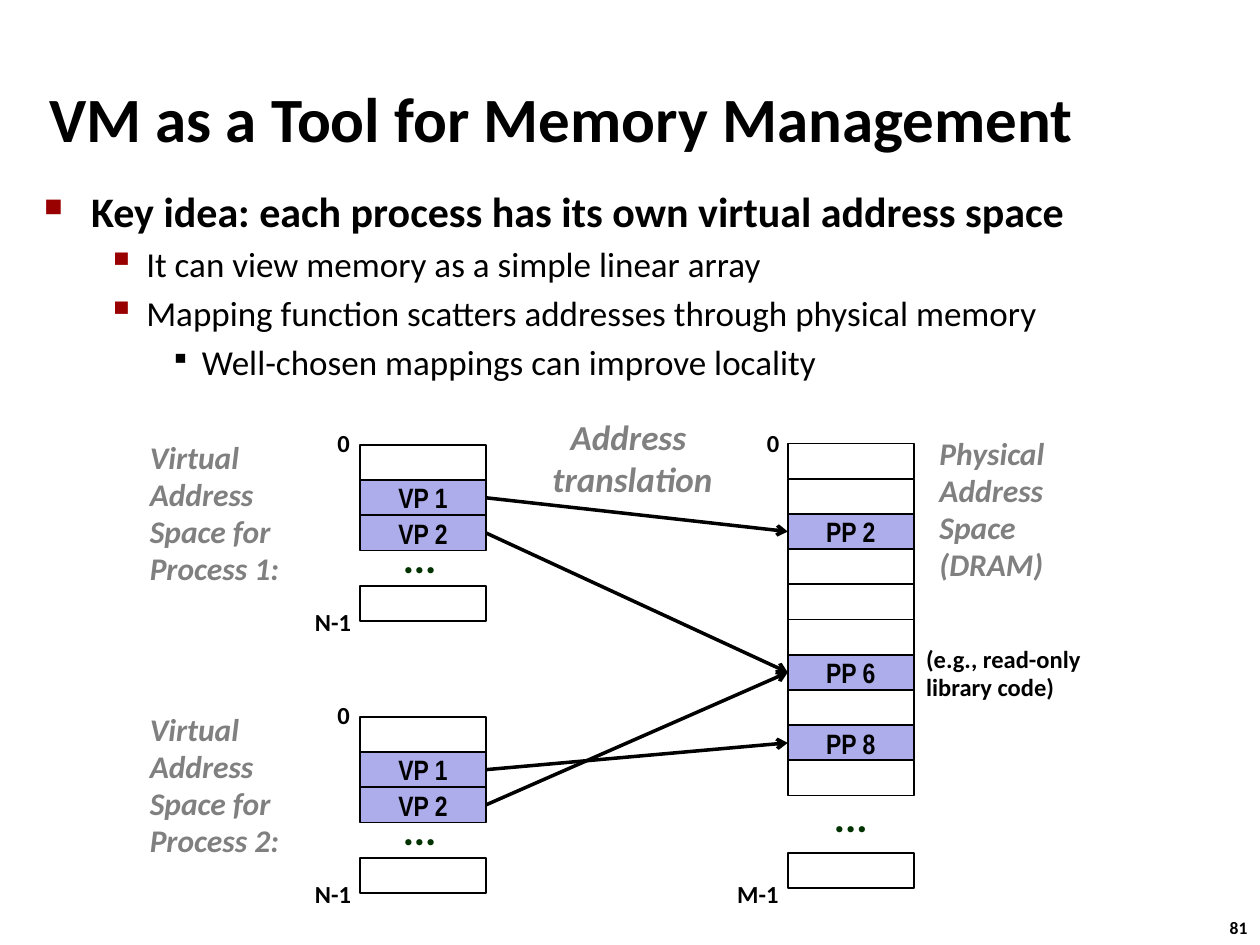
from dataclasses import dataclass
from typing import Optional

from lxml.etree import SubElement
from pptx import Presentation
from pptx.dml.color import RGBColor
from pptx.enum.shapes import MSO_CONNECTOR, MSO_SHAPE
from pptx.enum.text import MSO_ANCHOR, MSO_AUTO_SIZE, PP_ALIGN
from pptx.oxml.ns import qn
from pptx.util import Cm, Pt

BLACK = RGBColor(0x00, 0x00, 0x00)
GRAY = RGBColor(0x80, 0x80, 0x80)
GREEN = RGBColor(0x00, 0x33, 0x00)
RED = RGBColor(0x99, 0x00, 0x00)
BLUE = RGBColor(0xAD, 0xAD, 0xEB)

ROW = 0.71
WIDTH = 2.54
LEFT = 7.26
RIGHT = 15.88
TOP = 8.94
STARTS = (8.97, 14.45)


@dataclass(frozen=True)
class Style:
    size: float
    color: RGBColor = BLACK
    bold: bool = True
    slant: bool = False
    face: str = "Calibri"
    space: Optional[float] = 0.98
    align: PP_ALIGN = PP_ALIGN.LEFT


@dataclass(frozen=True)
class Label:
    x: float
    y: float
    w: float
    h: float
    lines: tuple[str, ...]
    style: Style
    wrap: bool = False


@dataclass(frozen=True)
class Point:
    text: str
    level: int
    style: Style
    indent: float
    hang: float
    mark: str
    scale: int
    color: RGBColor
    before: float


@dataclass(frozen=True)
class Link:
    space: int
    page: int
    frame: int


HEAD = Style(36, space=None)
SIDE = Style(18, GRAY, slant=True)
SMALL = Style(14)
DOTS = Style(24, GREEN, space=0.88)
CELL = Style(16, face="Arial Narrow", space=None, align=PP_ALIGN.CENTER)
MIDDLE = Style(20, GRAY, slant=True, space=None, align=PP_ALIGN.CENTER)
MAIN = Style(24, space=None)
PLAIN = Style(20, bold=False, space=None)
FOOT = Style(10, space=None)

POINTS = (
    Point("Key idea: each process has its own virtual address space",
          0, MAIN, 0.95, 0.95, "■", 60, RED, 0),
    Point("It can view memory as a simple linear array",
          1, PLAIN, 2.06, 0.79, "▪", 110, RED, 4),
    Point("Mapping function scatters addresses through physical memory",
          1, PLAIN, 2.06, 0.79, "▪", 110, RED, 4),
    Point("Well-chosen mappings can improve locality",
          2, PLAIN, 3.18, 0.64, "▪", 80, BLACK, 4),
)

LABELS = (
    Label(18.69, 8.66, 2.97, 3.28, ("Physical", "Address", "Space (DRAM)"), SIDE, True),
    Label(18.42, 12.88, 4.04, 1.42, ("(e.g., read-only", "library code)"), SMALL, True),
    Label(16.56, 15.95, 1.19, 1.14, ("...",), DOTS),
    Label(15.21, 8.53, 0.79, 0.84, ("0",), SMALL),
    Label(14.61, 17.63, 1.35, 0.84, ("M-1",), SMALL),
    Label(10.87, 8.26, 3.76, 1.96, ("Address ", "translation"), MIDDLE),
    Label(24.54, 18.36, 0.94, 0.69, ("81",), FOOT),
)

FRAMES = {2: "PP 2", 6: "PP 6", 8: "PP 8"}
PAGES = {1: "VP 1", 2: "VP 2"}
LINKS = (Link(0, 1, 2), Link(0, 2, 6), Link(1, 2, 6), Link(1, 1, 8))


def dress(para, style: Style) -> None:
    para.alignment = style.align
    if style.space:
        para.line_spacing = style.space
    font = para.font
    font.name = style.face
    font.size = Pt(style.size)
    font.bold = style.bold
    font.italic = style.slant
    font.color.rgb = style.color


def write(shapes, label: Label):
    box = shapes.add_textbox(Cm(label.x), Cm(label.y), Cm(label.w), Cm(label.h))
    frame = box.text_frame
    frame.word_wrap = label.wrap
    frame.auto_size = MSO_AUTO_SIZE.NONE if label.wrap else MSO_AUTO_SIZE.SHAPE_TO_FIT_TEXT
    frame.text = "\n".join(label.lines)
    for para in frame.paragraphs:
        dress(para, label.style)
    return frame


def list_points(shapes) -> None:
    box = shapes.add_textbox(Cm(0.64), Cm(3.61), Cm(21.82), Cm(3.51))
    frame = box.text_frame
    frame.word_wrap = True
    frame.text = "\n".join(point.text for point in POINTS)
    for para, point in zip(frame.paragraphs, POINTS):
        para.level = point.level
        props = para._p.get_or_add_pPr()
        props.set("marL", str(Cm(point.indent)))
        props.set("indent", str(-Cm(point.hang)))
        tint = SubElement(props, qn("a:buClr"))
        SubElement(tint, qn("a:srgbClr"), val=str(point.color))
        SubElement(props, qn("a:buSzPct"), val=str(point.scale * 1000))
        SubElement(props, qn("a:buChar"), char=point.mark)
        if point.before:
            para.space_before = Pt(point.before)
        dress(para, point.style)


def draw_cell(shapes, x: float, y: float, text: str = "") -> None:
    cell = shapes.add_shape(MSO_SHAPE.RECTANGLE, Cm(x), Cm(y), Cm(WIDTH), Cm(ROW))
    cell.shadow.inherit = False
    cell.line.color.rgb = BLACK
    cell.line.width = Pt(1)
    if not text:
        cell.fill.background()
        return
    cell.fill.solid()
    cell.fill.fore_color.rgb = BLUE
    frame = cell.text_frame
    frame.vertical_anchor = MSO_ANCHOR.MIDDLE
    frame.text = text
    dress(frame.paragraphs[0], CELL)


def draw_space(shapes, index: int, top: float) -> None:
    name = f"Virtual Address Space for Process {index}:"
    write(shapes, Label(2.77, top - 0.22, 3.81, 3.25, (name,), SIDE, True))
    write(shapes, Label(6.55, top - 0.44, 0.79, 0.84, ("0",), SMALL))
    write(shapes, Label(6.1, top + 3.18, 1.24, 0.84, ("N-1",), SMALL))
    write(shapes, Label(7.87, top + 1.76, 1.19, 1.14, ("...",), DOTS))
    for row in (0, 1, 2, 4):
        draw_cell(shapes, LEFT, top + row * ROW, PAGES.get(row, ""))


def draw_link(shapes, link: Link) -> None:
    start = STARTS[link.space] + (link.page + 0.5) * ROW
    end = TOP + (link.frame + 0.5) * ROW
    line = shapes.add_connector(MSO_CONNECTOR.STRAIGHT, Cm(LEFT + WIDTH), Cm(start),
                                Cm(RIGHT), Cm(end))
    line.line.color.rgb = BLACK
    line.line.width = Pt(2)
    SubElement(line.line._get_or_add_ln(), qn("a:tailEnd"), type="arrow")
    SubElement(line._element.spPr, qn("a:effectLst"))


def main() -> None:
    deck = Presentation()
    deck.slide_width, deck.slide_height = Cm(25.4), Cm(19.05)
    shapes = deck.slides.add_slide(deck.slide_layouts[6]).shapes

    title = Label(0.74, 1.57, 23.93, 1.6, ("VM as a Tool for Memory Management",), HEAD, True)
    write(shapes, title).vertical_anchor = MSO_ANCHOR.MIDDLE
    list_points(shapes)
    for index, top in enumerate(STARTS, 1):
        draw_space(shapes, index, top)
    for row in range(10):
        draw_cell(shapes, RIGHT, TOP + row * ROW, FRAMES.get(row, ""))
    draw_cell(shapes, RIGHT, 17.2)
    for link in LINKS:
        draw_link(shapes, link)
    for label in LABELS:
        write(shapes, label)
    deck.save("out.pptx")


if __name__ == "__main__":
    main()
